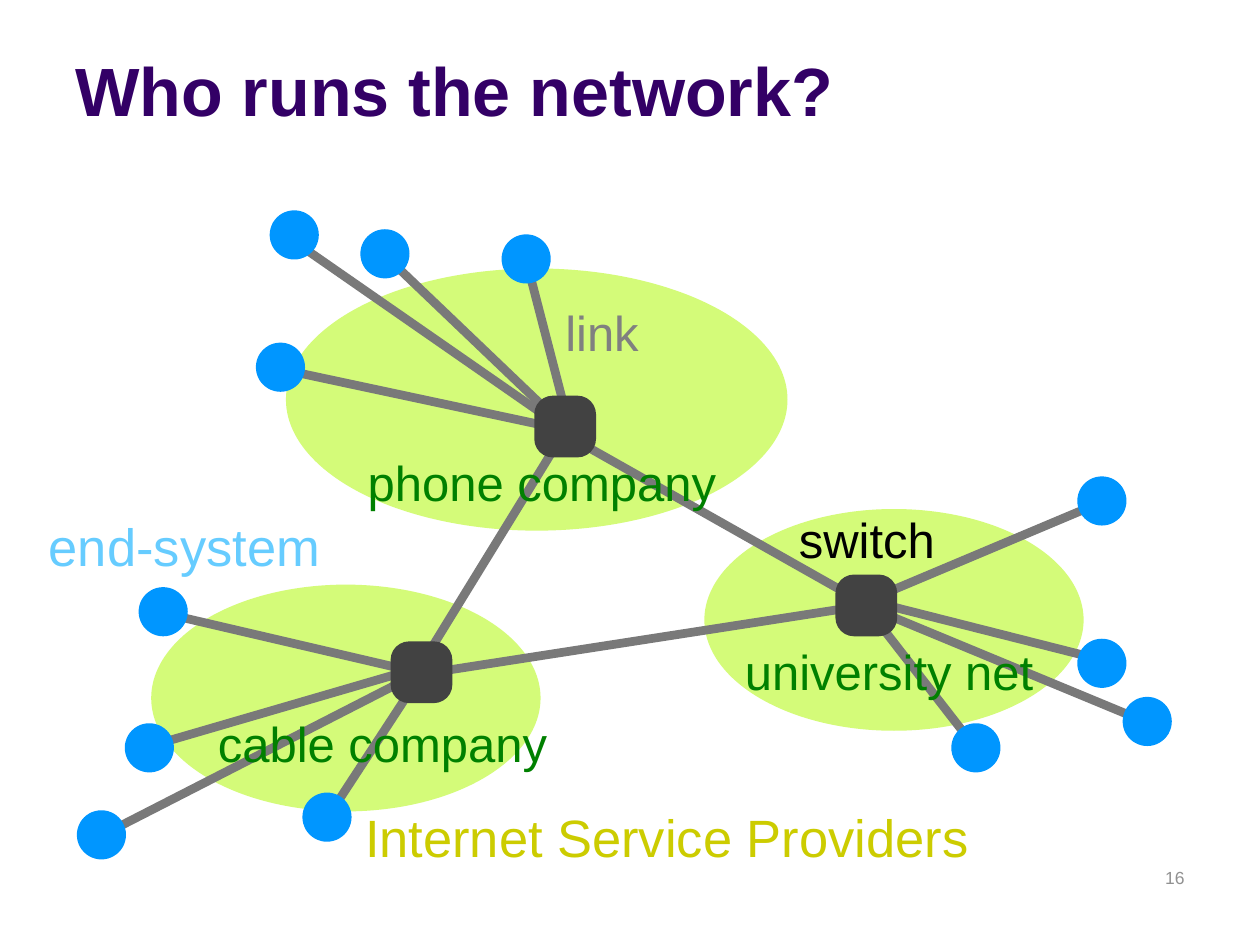
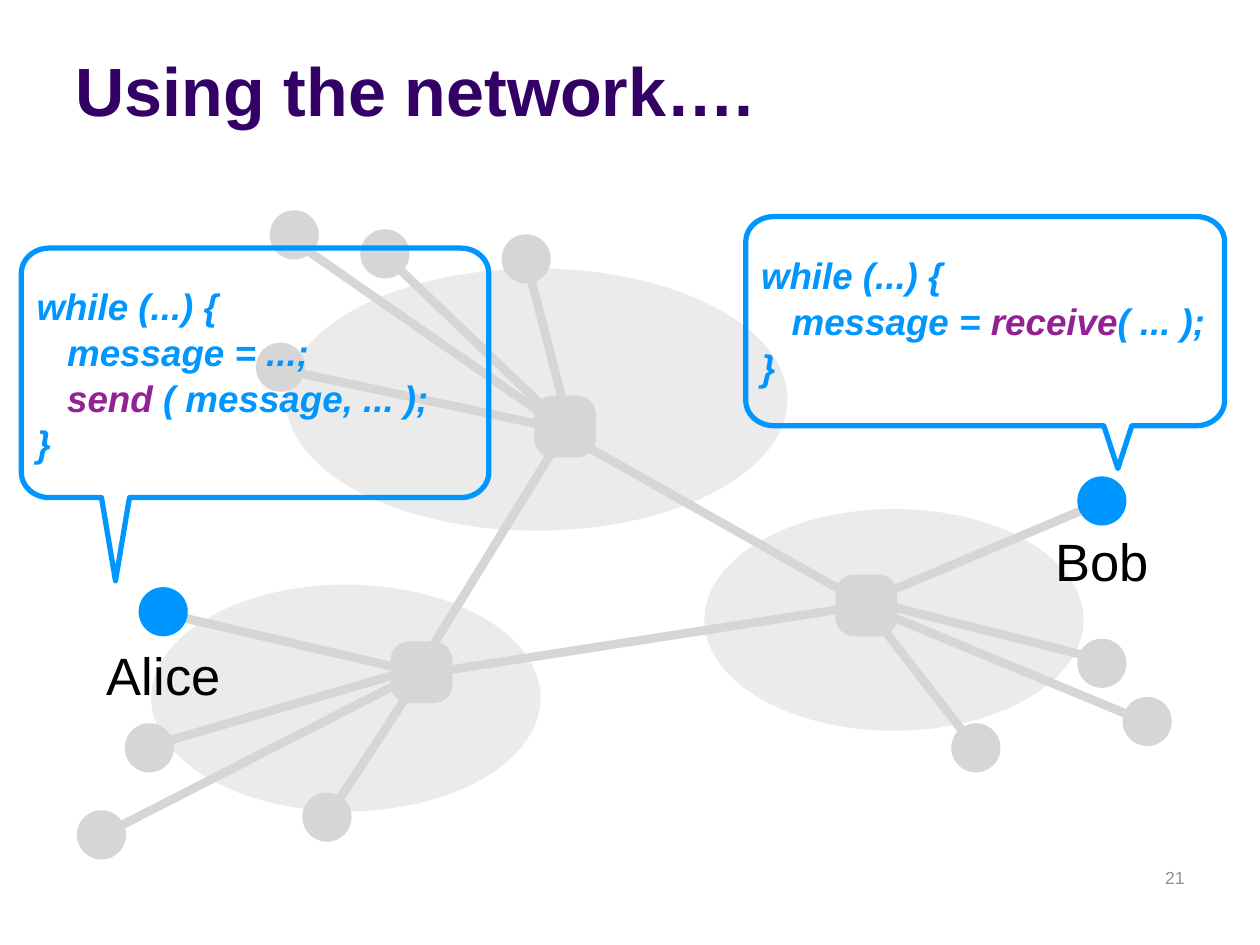
from math import cos, pi, sin

from lxml.etree import SubElement
from pptx import Presentation
from pptx.dml.color import RGBColor
from pptx.enum.shapes import MSO_CONNECTOR, MSO_SHAPE
from pptx.enum.text import MSO_ANCHOR, PP_ALIGN
from pptx.oxml.ns import qn
from pptx.util import Pt

FONT = "Arial"
PURPLE = RGBColor(0x33, 0x00, 0x66)
NUMBER_GRAY = RGBColor(0x91, 0x91, 0x91)
LIME = RGBColor(0xD4, 0xFB, 0x79)
LINK_GRAY = RGBColor(0x79, 0x79, 0x79)
CHARCOAL = RGBColor(0x42, 0x42, 0x42)
BLUE = RGBColor(0x00, 0x96, 0xFF)
PALE = RGBColor(0xEB, 0xEB, 0xEB)
FADED = RGBColor(0xD6, 0xD6, 0xD6)
SKY = RGBColor(0x66, 0xCC, 0xFF)
BLACK = RGBColor(0x00, 0x00, 0x00)
GRAY = RGBColor(0x80, 0x80, 0x80)
OLIVE = RGBColor(0xCC, 0xCC, 0x00)
GREEN = RGBColor(0x00, 0x80, 0x00)
MAGENTA = RGBColor(0x94, 0x21, 0x93)

HOST_SIZE = 28.1
SWITCH_SIZE = 35.3
CODE_INDENT = 17.5
LABEL_INSETS = (2.9, 2.9)
BOX_INSETS = (7.2, 3.6)

PROVIDERS = [
    (402.5, 290.9, 216.7, 126.7),
    (163.4, 153.4, 286.6, 149.8),
    (86.4, 334.1, 222.5, 129.6),
]
SWITCHES = [(305.3, 226.1), (223.2, 366.5), (477.4, 328.3)]
TRUNKS = [
    ((318.2, 245.5), (495.4, 345.6)),
    ((323.3, 245.5), (240.5, 380.2)),
    ((496.8, 345.6), (241.2, 385.2)),
]
HOSTS = {
    "phone 1": ((146.2, 195.8), (160.6, 211), (319, 244.8)),
    "phone 2": ((154.1, 120.2), (168.5, 138.2), (316.8, 241.2)),
    "phone 3": ((205.9, 131), (220.3, 146.2), (319, 240.5)),
    "phone 4": ((286.6, 133.9), (301.7, 152.6), (326.2, 247)),
    "Alice": ((79.2, 335.5), (91.4, 349.9), (236.9, 383.8)),
    "cable 2": ((71.3, 413.3), (83.5, 427), (236.9, 382.3)),
    "cable 3": ((43.9, 463), (55.4, 478.8), (235.4, 386.6)),
    "cable 4": ((172.8, 452.9), (189.4, 463.7), (239.8, 386.6)),
    "Bob": ((615.6, 272.2), (628.6, 287.3), (491.8, 344.9)),
    "university 2": ((615.6, 365), (627.8, 376.6), (496.8, 343.4)),
    "university 3": ((641.5, 398.2), (656.6, 413.3), (493.2, 345.6)),
    "university 4": ((543.6, 413.3), (556.6, 426.2), (496.8, 349.2)),
}

SLIDES = [
    {
        "title": "Who runs the network?",
        "number": "16",
        "colors": (LIME, LINK_GRAY, CHARCOAL, BLUE),
        "labels": [
            ("end-system", (21.6, 290.9, 164.2, 41.8), 30, SKY, PP_ALIGN.RIGHT, True),
            ("switch", (452.9, 288, 84.2, 39.6), 28, BLACK, PP_ALIGN.RIGHT, False),
            ("link", (319.7, 169.9, 48.2, 39.6), 28, GRAY, PP_ALIGN.RIGHT, False),
            ("Internet Service Providers", (197.3, 457.2, 359.3, 41.8), 30, OLIVE,
             PP_ALIGN.RIGHT, True),
            ("phone company", (151.9, 255.6, 315.4, 39.6), 28, GREEN, PP_ALIGN.CENTER, True),
            ("cable company", (87.1, 404.6, 262.8, 39.6), 28, GREEN, PP_ALIGN.CENTER, True),
            ("university net", (344.2, 363.6, 327.6, 39.6), 28, GREEN, PP_ALIGN.CENTER, True),
        ],
        "callouts": [],
    },
    {
        "title": "Using the network….",
        "number": "21",
        "colors": (PALE, FADED, FADED, FADED),
        "labels": [
            ("Alice", (11.5, 364.3, 164.2, 42.5), 30, BLACK, PP_ALIGN.CENTER, True),
            ("Bob", (547.9, 298.8, 164.2, 42.5), 30, BLACK, PP_ALIGN.CENTER, True),
        ],
        "callouts": [
            {
                "body": (12.2, 141.8, 267.1, 142.6),
                "tip": (66, 331.9),
                "box": (18, 159.8, 254.2, 107.3),
                "code": [
                    (0, [("while (...) {", BLUE)]),
                    (1, [("message = ...;", BLUE)]),
                    (1, [("send ", MAGENTA), ("( message, ... );", BLUE)]),
                    (0, [("}", BLUE)]),
                ],
            },
            {
                "body": (426.2, 123.8, 273.6, 119.5),
                "tip": (638.8, 267.8),
                "box": (432, 141.8, 264.2, 82.1),
                "code": [
                    (0, [("while (...) {", BLUE)]),
                    (1, [("message = ", BLUE), ("receive", MAGENTA), ("( ... );", BLUE)]),
                    (0, [("}", BLUE)]),
                ],
            },
        ],
    },
]


def add_text(slide, area, lines, size, align=PP_ALIGN.LEFT, anchor=MSO_ANCHOR.MIDDLE,
             insets=LABEL_INSETS, wrap=True, bold=False, italic=False, spacing=None):
    frame = slide.shapes.add_textbox(*map(Pt, area)).text_frame
    frame.word_wrap = wrap
    frame.vertical_anchor = anchor
    frame.margin_left = frame.margin_right = Pt(insets[0])
    frame.margin_top = frame.margin_bottom = Pt(insets[1])
    for index, (level, runs) in enumerate(lines):
        paragraph = frame.add_paragraph() if index else frame.paragraphs[0]
        paragraph.alignment = align
        paragraph.line_spacing = spacing
        if level:
            paragraph._p.get_or_add_pPr().set("marL", str(Pt(level * CODE_INDENT)))
        font = paragraph.font
        font.name, font.size, font.bold, font.italic = FONT, Pt(size), bold, italic
        if len(runs) == 1:
            font.color.rgb = runs[0][1]
        for text, color in runs:
            run = paragraph.add_run()
            run.text = text
            if len(runs) > 1:
                run.font.color.rgb = color


def add_filled(slide, preset, area, color):
    shape = slide.shapes.add_shape(preset, *map(Pt, area))
    shape.shadow.inherit = False
    shape.fill.solid()
    shape.fill.fore_color.rgb = color
    shape.line.fill.background()
    return shape


def add_link(slide, start, end, color):
    link = slide.shapes.add_connector(MSO_CONNECTOR.STRAIGHT, *map(Pt, start + end))
    link.line.color.rgb = color
    link.line.width = Pt(5)
    SubElement(link._element.spPr, qn("a:effectLst"))


def add_network(slide, colors, blue_hosts):
    provider_color, link_color, switch_color, host_color = colors
    for area in PROVIDERS:
        add_filled(slide, MSO_SHAPE.OVAL, area, provider_color)
    for start, end in TRUNKS + [host[1:] for host in HOSTS.values()]:
        add_link(slide, start, end, link_color)
    for name, (corner, _, _) in HOSTS.items():
        color = BLUE if name in blue_hosts else host_color
        add_filled(slide, MSO_SHAPE.OVAL, corner + (HOST_SIZE, HOST_SIZE), color)
    for corner in SWITCHES:
        area = corner + (SWITCH_SIZE, SWITCH_SIZE)
        add_filled(slide, MSO_SHAPE.ROUNDED_RECTANGLE, area, switch_color).adjustments[0] = 0.3


def callout_outline(body, tip, radius_x=16, radius_y=14.4, half_base=8, steps=12):
    left, top, width, height = body
    right, bottom = left + width, top + height
    corners = [
        (right - radius_x, bottom - radius_y),
        (left + radius_x, bottom - radius_y),
        (left + radius_x, top + radius_y),
        (right - radius_x, top + radius_y),
    ]
    points = []
    for quarter, (x, y) in enumerate(corners):
        for step in range(steps + 1):
            angle = (quarter + step / steps) * pi / 2
            points.append((x + radius_x * cos(angle), y + radius_y * sin(angle)))
        if quarter == 0:
            points += [(tip[0] + half_base, bottom), tip, (tip[0] - half_base, bottom)]
    return points


def add_callout(slide, callout):
    points = [(Pt(x), Pt(y)) for x, y in callout_outline(callout["body"], callout["tip"])]
    builder = slide.shapes.build_freeform(*points[0])
    builder.add_line_segments(points[1:], close=True)
    bubble = builder.convert_to_shape()
    bubble.shadow.inherit = False
    bubble.fill.background()
    bubble.line.color.rgb = BLUE
    bubble.line.width = Pt(3)
    add_text(slide, callout["box"], callout["code"], 21, bold=True, italic=True, spacing=1.04)


presentation = Presentation()
presentation.slide_width, presentation.slide_height = Pt(720), Pt(540)
for content in SLIDES:
    slide = presentation.slides.add_slide(presentation.slide_layouts[6])
    add_text(slide, (36, 9.4, 648, 68.4), [(0, [(content["title"], PURPLE)])], 39,
             anchor=MSO_ANCHOR.BOTTOM, insets=BOX_INSETS, bold=True)
    add_text(slide, (516.2, 491.8, 167.8, 36), [(0, [(content["number"], NUMBER_GRAY)])], 10,
             PP_ALIGN.RIGHT, MSO_ANCHOR.TOP, BOX_INSETS)
    add_network(slide, content["colors"], [label[0] for label in content["labels"]])
    for callout in content["callouts"]:
        add_callout(slide, callout)
    for text, area, size, color, align, wrap in content["labels"]:
        add_text(slide, area, [(0, [(text, color)])], size, align, wrap=wrap)
presentation.save("out.pptx")
